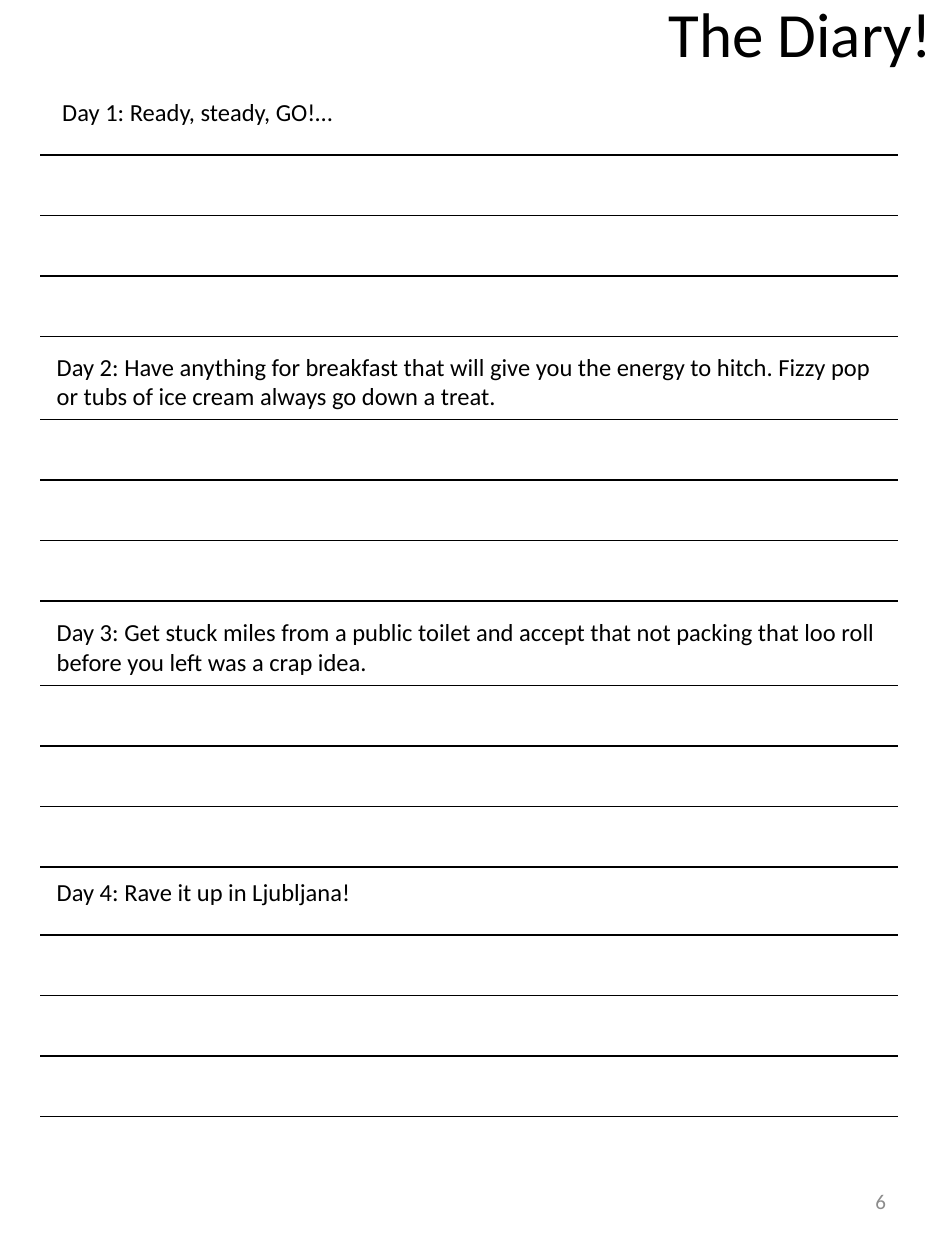
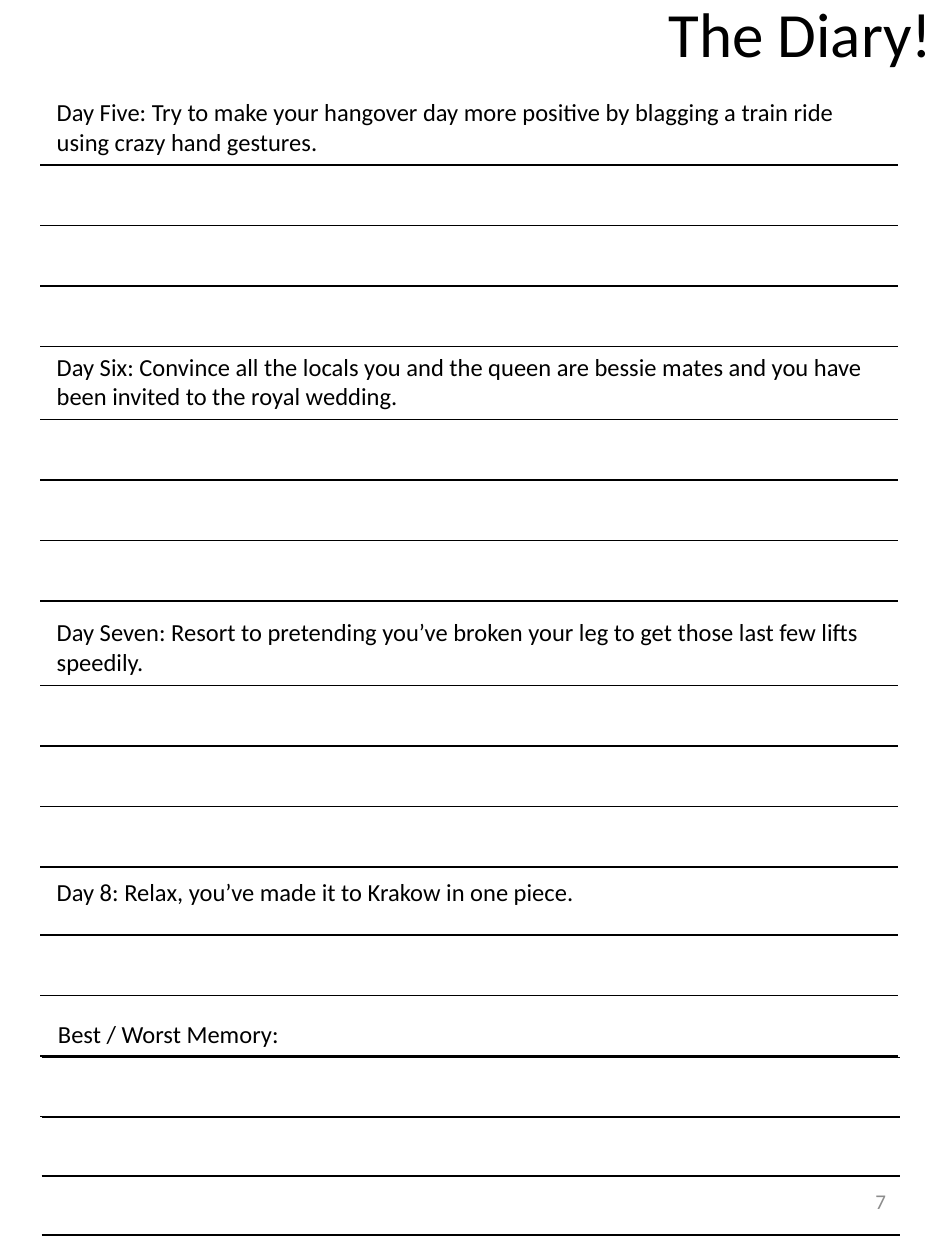
import pptx
import pptx.dml.color
import pptx.enum.text
import pptx.oxml
import pptx.oxml.ns
import pptx.util

Inches = pptx.util.Inches
Pt = pptx.util.Pt

TITLE = "The Diary!"
FONT = "Calibri"
COLORS = {"ink": "000000", "page_number": "8C8C8C"}

ENTRY_WIDTH = 6.81
ENTRY_LEFT = 0.32
ONE_LINE = [0.51] + [0.48] * 3
TWO_LINES = [0.59] + [0.48] * 3
MEMORY = [0.35] + [0.47] * 3
DAY_TOPS = [0.72, 2.74, 4.85, 6.91]

PAGES = [
    {
        "number": "6",
        "days": [
            (" Day 1: Ready, steady, GO!…", ONE_LINE),
            ("Day 2: Have anything for breakfast that will give you the energy to hitch. "
             "Fizzy pop or tubs of ice cream always go down a treat.", TWO_LINES),
            ("Day 3: Get stuck miles from a public toilet and accept that not packing "
             "that loo roll before you left was a crap idea.", TWO_LINES),
            ("Day 4: Rave it up in Ljubljana!", ONE_LINE),
        ],
        "extras": [],
    },
    {
        "number": "7",
        "days": [
            ("Day Five: Try to make your hangover day more positive by blagging a train "
             "ride using crazy hand gestures.", TWO_LINES),
            ("Day Six: Convince all the locals you and the queen are bessie mates and you "
             "have been invited to the royal wedding.", TWO_LINES),
            ("Day Seven: Resort to pretending you’ve broken your leg to get those last "
             "few lifts speedily.", TWO_LINES),
            ("Day 8: Relax, you’ve made it to Krakow in one piece.", ONE_LINE),
        ],
        "extras": [(0.33, 8.04, "Best / Worst Memory:", MEMORY)],
    },
]


def write(paragraph, text, size, color="ink"):
    run = paragraph.add_run()
    run.text = text
    run.font.name = FONT
    run.font.size = Pt(size)
    run.font.color.rgb = pptx.dml.color.RGBColor.from_string(COLORS[color])


def add_label(slide, box, text, size, color="ink", wrap=True, anchor="TOP"):
    frame = slide.shapes.add_textbox(*map(Inches, box)).text_frame
    frame.word_wrap = wrap
    frame.vertical_anchor = pptx.enum.text.MSO_ANCHOR[anchor]
    paragraph = frame.paragraphs[0]
    paragraph.alignment = pptx.enum.text.PP_ALIGN.RIGHT
    write(paragraph, text, size, color)


def rule_cell(cell, ruled_sides):
    properties = cell._tc.get_or_add_tcPr()
    for side in "LRTB":
        if side in ruled_sides:
            paint = f'<a:solidFill><a:srgbClr val="{COLORS["ink"]}"/></a:solidFill>'
        else:
            paint = "<a:noFill/>"
        properties.append(pptx.oxml.parse_xml(
            f'<a:ln{side} {pptx.oxml.ns.nsdecls("a")} w="{Pt(1)}">{paint}</a:ln{side}>'))
    cell.fill.background()


def add_entry(slide, left, top, prompt, heights):
    box = map(Inches, (left, top, ENTRY_WIDTH, sum(heights)))
    entry = slide.shapes.add_table(len(heights), 1, *box).table
    entry.first_row = False
    entry.horz_banding = False
    for index, height in enumerate(heights):
        entry.rows[index].height = Inches(height)
        cell = entry.cell(index, 0)
        cell.margin_left = cell.margin_right = Inches(0.13)
        cell.margin_top = cell.margin_bottom = Inches(0.06)
        rule_cell(cell, "TB" if index else "B")
    write(entry.cell(0, 0).text_frame.paragraphs[0], prompt, 14)


def main():
    diary = pptx.Presentation()
    diary.slide_width = Inches(7.5)
    diary.slide_height = Inches(10)
    for page in PAGES:
        slide = diary.slides.add_slide(diary.slide_layouts[6])
        add_label(slide, (5.18, -0.09, 2.32, 0.71), TITLE, 36, wrap=False)
        add_label(slide, (5.38, 9.27, 1.75, 0.53), page["number"], 12,
                  "page_number", anchor="MIDDLE")
        for top, (prompt, heights) in zip(DAY_TOPS, page["days"]):
            add_entry(slide, ENTRY_LEFT, top, prompt, heights)
        for extra in page["extras"]:
            add_entry(slide, *extra)
    diary.save("out.pptx")


if __name__ == "__main__":
    main()
